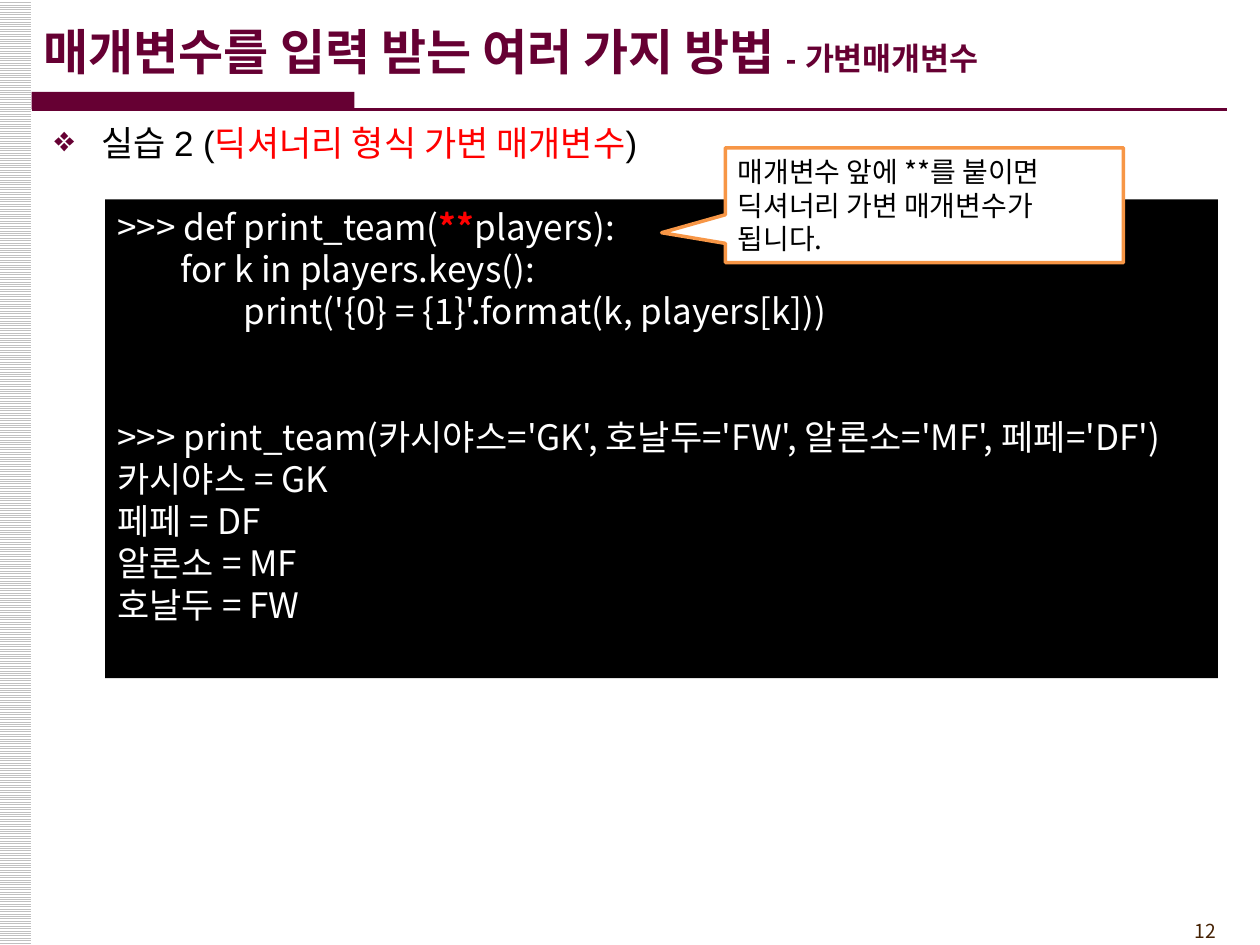
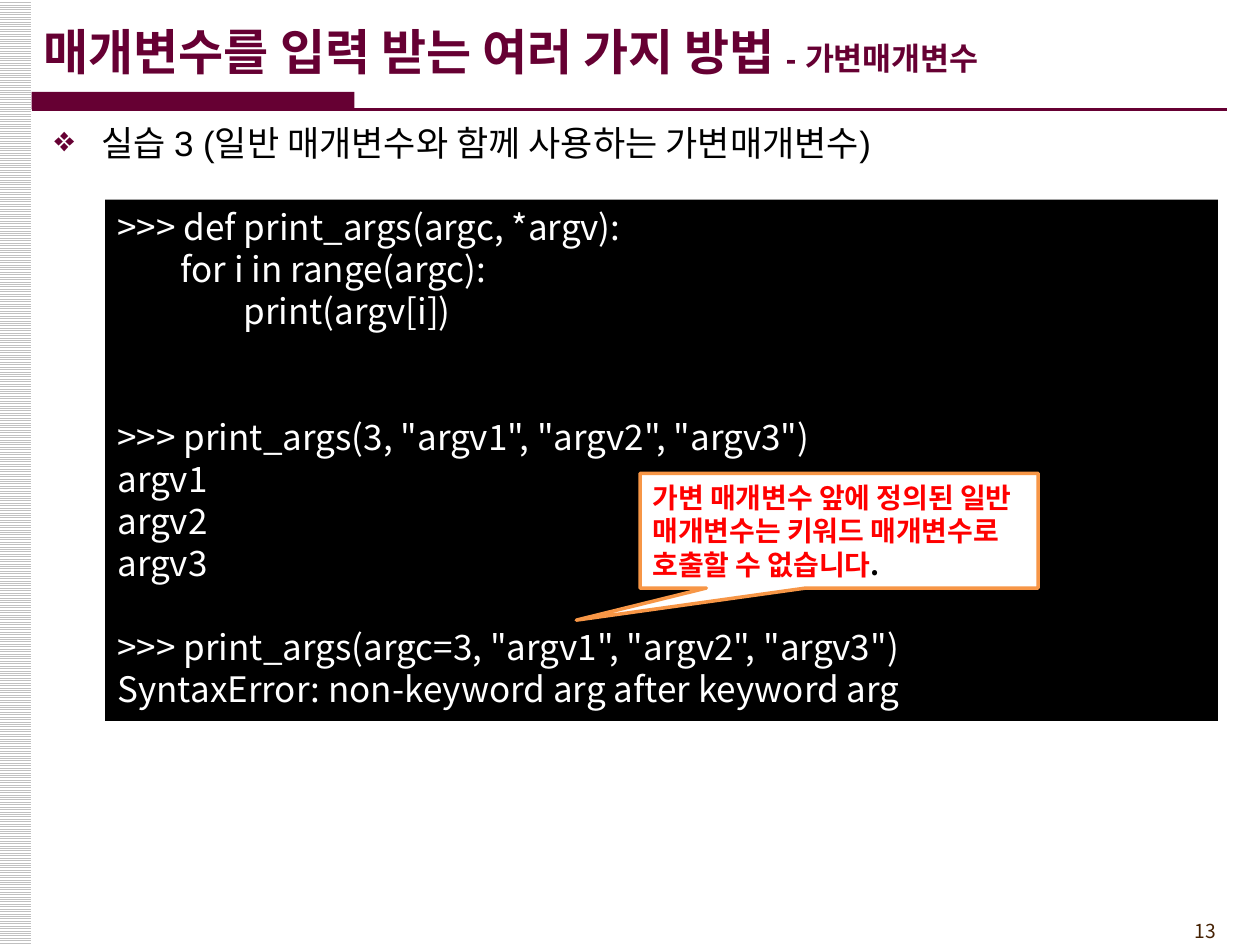
from lxml import etree
from pptx import Presentation
from pptx import util as u
from pptx.dml.color import RGBColor
from pptx.enum import dml, shapes, text
from pptx.oxml.ns import qn

Pt = u.Pt
WINE, ORANGE, RED = "660033", "F79646", "FF0000"
BLACK, WHITE, GREY, BROWN = "000000", "FFFFFF", "C0C0C0", "452103"
SANS, KOREAN = "Arial", "Noto Sans CJK KR"
ALIGN = text.PP_ALIGN


def rgb(color):
    return RGBColor.from_string(color)


class Deck:
    """Shared style, and the slide being filled."""

    def __init__(self):
        self.prs = Presentation()
        self.prs.slide_width, self.prs.slide_height = Pt(720), Pt(540)
        self.s = None

    def slide(self, number):
        self.s = self.prs.slides.add_slide(self.prs.slide_layouts[6])
        strip = self.shape((0, 0, 18, 540), WHITE)
        strip.fill.patterned()
        strip.fill.pattern = dml.MSO_PATTERN.LIGHT_HORIZONTAL
        strip.fill.fore_color.rgb = rgb(GREY)
        strip.fill.back_color.rgb = rgb(WHITE)
        tf = self.textbox((642, 522, 60, 21))
        self.add_runs(tf.paragraphs[0], [(str(number), BROWN)], 11, align=ALIGN.RIGHT)
        self.shape((18, 52.5, 184.5, 10), WINE)
        self.rule(18, 62.5, 701)

    def shape(self, box, fill, kind=shapes.MSO_SHAPE.RECTANGLE):
        sp = self.s.shapes.add_shape(kind, *map(Pt, box))
        sp.shadow.inherit = False
        sp.fill.solid()
        sp.fill.fore_color.rgb = rgb(fill)
        sp.line.fill.background()
        sp.text_frame.word_wrap = True
        return sp

    def rule(self, x1, y, x2):
        line = self.s.shapes.add_connector(
            shapes.MSO_CONNECTOR.STRAIGHT, Pt(x1), Pt(y), Pt(x2), Pt(y))
        line.line.color.rgb = rgb(WINE)
        line.line.width = Pt(1.5)
        etree.SubElement(line._element.spPr, qn("a:effectLst"))

    def textbox(self, box):
        tf = self.s.shapes.add_textbox(*map(Pt, box)).text_frame
        tf.word_wrap = True
        return tf

    def add_runs(self, p, parts, size, font=KOREAN, bold=False, align=ALIGN.LEFT):
        """Fill a paragraph with (text, colour) parts."""
        p.alignment = align
        for words, color in parts:
            r = p.add_run()
            r.text = words
            r.font.name, r.font.size, r.font.bold = font, Pt(size), bold
            r.font.color.rgb = rgb(color)
            etree.SubElement(r._r.get_or_add_rPr(), qn("a:ea"), typeface=KOREAN)

    def title(self, main, detail):
        tf = self.textbox((18, 6.5, 702, 45))
        tf.vertical_anchor = text.MSO_ANCHOR.MIDDLE
        p = tf.paragraphs[0]
        self.add_runs(p, [(main, WINE), (detail, WINE)], 28, SANS, bold=True)
        p.runs[1].font.size = Pt(18)

    def bullet(self, parts):
        p = self.textbox((24, 66, 684, 450)).paragraphs[0]
        self.add_runs(p, parts, 20, SANS)
        pPr = p._p.get_or_add_pPr()
        pPr.set("marL", str(Pt(27)))
        pPr.set("indent", str(Pt(-27)))
        color = etree.SubElement(pPr, qn("a:buClr"))
        etree.SubElement(color, qn("a:srgbClr"), val=WINE)
        etree.SubElement(pPr, qn("a:buChar"), char="❖")

    def code(self, height, lines):
        """Draw a console; each line is (indent level, blank lines above, parts)."""
        tf = self.shape((60, 114, 636, height), BLACK).text_frame
        tf.vertical_anchor = text.MSO_ANCHOR.TOP
        for i, (level, gap, parts) in enumerate(lines):
            p = tf.add_paragraph() if i else tf.paragraphs[0]
            if isinstance(parts, str):
                parts = [(parts, WHITE)]
            self.add_runs(p, parts, 20, align=ALIGN.JUSTIFY)
            p.space_before = Pt(24 * gap)
            p._p.get_or_add_pPr().set("marL", str(Pt(36 * level)))
            for r in p.runs:
                r.font.bold = r.text == "**"

    def callout(self, left, top, tip, parts, bold=False):
        """Draw a note whose tip is given as fractions of its size from its centre."""
        sp = self.shape((left, top, 227.5, 65.5), WHITE,
                        shapes.MSO_SHAPE.RECTANGULAR_CALLOUT)
        sp.adjustments[0], sp.adjustments[1] = tip
        sp.line.color.rgb = rgb(ORANGE)
        sp.line.width = Pt(2)
        sp.text_frame.vertical_anchor = text.MSO_ANCHOR.MIDDLE
        self.add_runs(sp.text_frame.paragraphs[0], parts, 16, bold=bold)


TITLE = "매개변수를 입력 받는 여러 가지 방법 ", "- 가변매개변수"


def dictionary_arguments(deck):
    deck.slide(12)
    deck.bullet([("실습 2 (", BLACK), ("딕셔너리 형식 가변 매개변수", RED), (")", BLACK)])
    deck.title(*TITLE)
    deck.code(273.5, [
        (0, 0, [(">>> def print_team(", WHITE), ("**", RED), ("players):", WHITE)]),
        (1, 0, "for k in players.keys():"),
        (2, 0, "print('{0} = {1}'.format(k, players[k]))"),
        (0, 2, ">>> print_team(카시야스='GK', 호날두='FW', 알론소='MF', 페페='DF')"),
        (0, 0, "카시야스 = GK"),
        (0, 0, "페페 = DF"),
        (0, 0, "알론소 = MF"),
        (0, 0, "호날두 = FW"),
    ])
    deck.callout(414.5, 84.5, (-0.66, 0.24), [
        ("매개변수 앞에 **를 붙이면 딕셔너리 가변 매개변수가 됩니다.", BLACK)])


def mixed_arguments(deck):
    deck.slide(13)
    deck.bullet([("실습 3 (일반 매개변수와 함께 사용하는 가변매개변수)", BLACK)])
    deck.title(*TITLE)
    deck.code(298, [
        (0, 0, ">>> def print_args(argc, *argv):"),
        (1, 0, "for i in range(argc):"),
        (2, 0, "print(argv[i])"),
        (0, 2, '>>> print_args(3, "argv1", "argv2", "argv3")'),
        (0, 0, "argv1"),
        (0, 0, "argv2"),
        (0, 0, "argv3"),
        (0, 1, '>>> print_args(argc=3, "argv1", "argv2", "argv3")'),
        (0, 0, "SyntaxError: non-keyword arg after keyword arg"),
    ])
    deck.callout(365.75, 270.5, (-0.66, 0.78), [
        ("가변 매개변수 앞에 정의된 일반 매개변수는 키워드 매개변수로 호출할 수 없습니다", RED),
        (".", BLACK)], bold=True)


def main():
    deck = Deck()
    dictionary_arguments(deck)
    mixed_arguments(deck)
    deck.prs.save("out.pptx")


if __name__ == "__main__":
    main()
